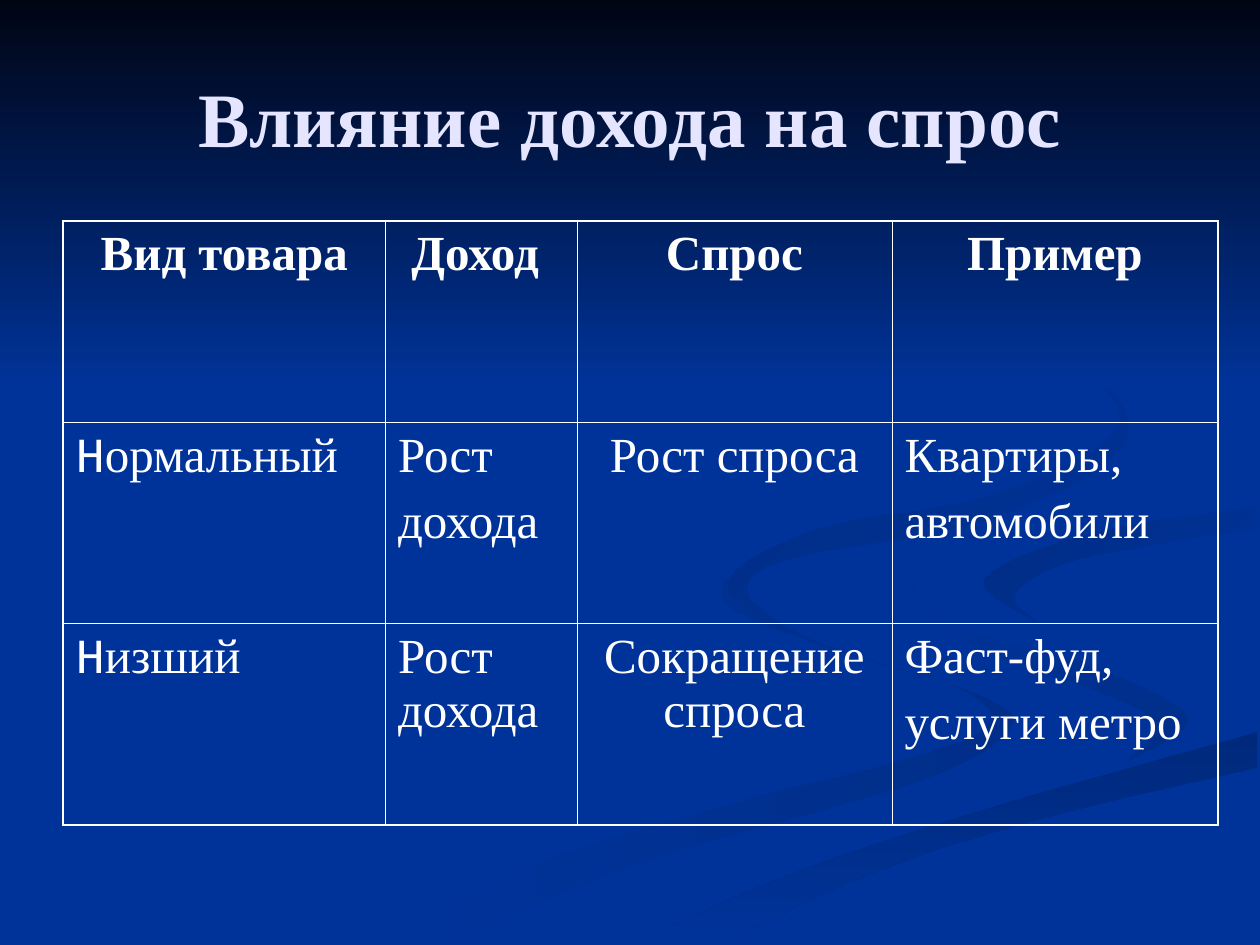
from dataclasses import dataclass

from lxml import etree
from pptx import Presentation
from pptx import util as u
from pptx.dml.color import RGBColor
from pptx.enum import text
from pptx.oxml import ns

HUE = {
    "base": "003399",
    "band": "000514",
    "tail": "002E8A",
    "sweep": "00297C",
    "hook": "002C85",
    "loop": "002B81",
    "title": "E5E5FF",
    "white": "FFFFFF",
}
FACE = "Times New Roman"
MONO = "Courier New"
UNIT = u.Cm(0.0254)
STEPS = 5
MID = text.PP_ALIGN.CENTER
LEFT = text.PP_ALIGN.LEFT


@dataclass
class Ribbon:
    start: str
    end: str
    angle: int
    sides: list


@dataclass
class Entry:
    lines: list
    align: int = LEFT
    bold: bool = False
    initial: bool = False


RIBBONS = [
    Ribbon("tail", "base", 180, [
        [(575, 459), (581, 483), (654, 513), (770, 551), (767, 587),
         (579, 639), (417, 690), (300, 749)],
        [(361, 749), (499, 687), (721, 623), (800, 581), (781, 553),
         (642, 507), (575, 459)]]),
    Ribbon("tail", "base", 225, [
        [(724, 464), (758, 498), (870, 530), (943, 570), (894, 605)],
        [(894, 605), (915, 571), (838, 536), (746, 500), (724, 464)]]),
    Ribbon("sweep", "base", 90, [
        [(571, 749), (695, 692), (821, 651), (998, 609)],
        [(998, 581), (797, 638), (630, 693), (503, 749)]]),
    Ribbon("base", "hook", 225, [
        [(998, 402), (865, 424), (781, 460), (826, 496)],
        [(826, 496), (805, 472), (859, 443), (998, 420)]]),
    Ribbon("base", "loop", 225, [
        [(762, 233), (864, 291), (892, 354), (786, 412), (624, 444),
         (593, 470), (622, 500)],
        [(622, 500), (577, 462), (649, 420), (791, 392), (889, 335),
         (826, 266), (762, 233)]]),
    Ribbon("band", "base", 90, [[(0, 0), (1000, 0)], [(1000, 308), (0, 308)]]),
]

COLS = [6.5, 3.86, 6.35, 6.57]
HIGH = 4.06
ROWS = [
    [Entry([name], MID, bold=True)
     for name in ("Вид товара", "Доход ", "Спрос", "Пример")],
    [Entry(["Нормальный"], initial=True), Entry(["Рост", "дохода"]),
     Entry(["Рост спроса"], MID), Entry(["Квартиры,", "автомобили"])],
    [Entry(["Низший"], initial=True), Entry(["Рост дохода"]),
     Entry(["Сокращение спроса"], MID), Entry(["Фаст-фуд,", "услуги метро"])],
]


def rgb(key: str) -> RGBColor:
    return RGBColor.from_string(HUE[key])


def style(font, size: int, key: str, bold: bool) -> None:
    font.name, font.size, font.bold = FACE, u.Pt(size), bold
    font.color.rgb = rgb(key)


def blend(a: int, b: int, c: int, d: int, t: float) -> float:
    bend = 2 * a - 5 * b + 4 * c - d
    twist = 3 * (b - c) + d - a
    return b + t * (c - a + t * (bend + t * twist)) / 2


def smooth(side: list) -> list:
    if len(side) == 2:
        return side
    ends = [side[0], *side, side[-1]]
    return [
        tuple(blend(*axis, k / STEPS) for axis in zip(*ends[i:i + 4]))
        for i in range(len(side) - 1) for k in range(STEPS)
    ] + [side[-1]]


def draw(slide, ribbon: Ribbon) -> None:
    points = [spot for side in ribbon.sides for spot in smooth(side)]
    pen = slide.shapes.build_freeform(*points[0], scale=UNIT)
    pen.add_line_segments(points[1:], close=True)
    shape = pen.convert_to_shape()
    shape.shadow.inherit = False
    shape.line.fill.background()
    shape.fill.gradient()
    shape.fill.gradient_angle = 360 - ribbon.angle
    for stop, key in zip(shape.fill.gradient_stops, (ribbon.start, ribbon.end)):
        stop.color.rgb = rgb(key)


def edge(cell, side: str, outer: bool) -> None:
    width = u.Pt(1.08 if outer else 0.45)
    props = cell._tc.get_or_add_tcPr()
    line = etree.SubElement(props, ns.qn(f"a:ln{side}"), w=str(int(width)))
    fill = etree.SubElement(line, ns.qn("a:solidFill"))
    etree.SubElement(fill, ns.qn("a:srgbClr"), val=HUE["white"])


def write(cell, entry: Entry) -> None:
    frame = cell.text_frame
    for i, words in enumerate(entry.lines):
        para = frame.paragraphs[0] if i == 0 else frame.add_paragraph()
        para.alignment, para.space_before = entry.align, u.Pt(7)
        style(para.font, 28, "white", entry.bold)
        parts = [words[0], words[1:]] if entry.initial else [words]
        for part in parts:
            run = para.add_run()
            run.text = part
        if entry.initial:
            para.runs[0].font.name = MONO


def grid(slide) -> None:
    high, wide = len(ROWS), len(COLS)
    table = slide.shapes.add_table(
        high, wide, u.Cm(1.27), u.Cm(4.45),
        u.Cm(sum(COLS)), u.Cm(HIGH * high)).table
    table.first_row = table.horz_banding = False
    for col, width in zip(table.columns, COLS):
        col.width = u.Cm(width)
    for r, row in enumerate(ROWS):
        table.rows[r].height = u.Cm(HIGH)
        for c, entry in enumerate(row):
            cell = table.cell(r, c)
            edge(cell, "L", c == 0)
            edge(cell, "R", c == wide - 1)
            edge(cell, "T", r == 0)
            edge(cell, "B", r == high - 1)
            cell.fill.background()
            write(cell, entry)


def head(slide) -> None:
    title = slide.shapes.title
    title.left, title.top = u.Cm(1.27), u.Cm(0.76)
    title.width, title.height = u.Cm(22.86), u.Cm(3.18)
    frame = title.text_frame
    frame.text = "Влияние дохода на спрос"
    frame.vertical_anchor = text.MSO_ANCHOR.MIDDLE
    para = frame.paragraphs[0]
    para.alignment = MID
    style(para.font, 44, "title", True)
    title.element.getparent().append(title.element)


def main() -> None:
    deck = Presentation()
    deck.slide_width, deck.slide_height = u.Cm(25.4), u.Cm(19.05)
    slide = deck.slides.add_slide(deck.slide_layouts[5])
    slide.background.fill.solid()
    slide.background.fill.fore_color.rgb = rgb("base")
    for ribbon in RIBBONS:
        draw(slide, ribbon)
    head(slide)
    grid(slide)
    deck.save("out.pptx")


if __name__ == "__main__":
    main()
